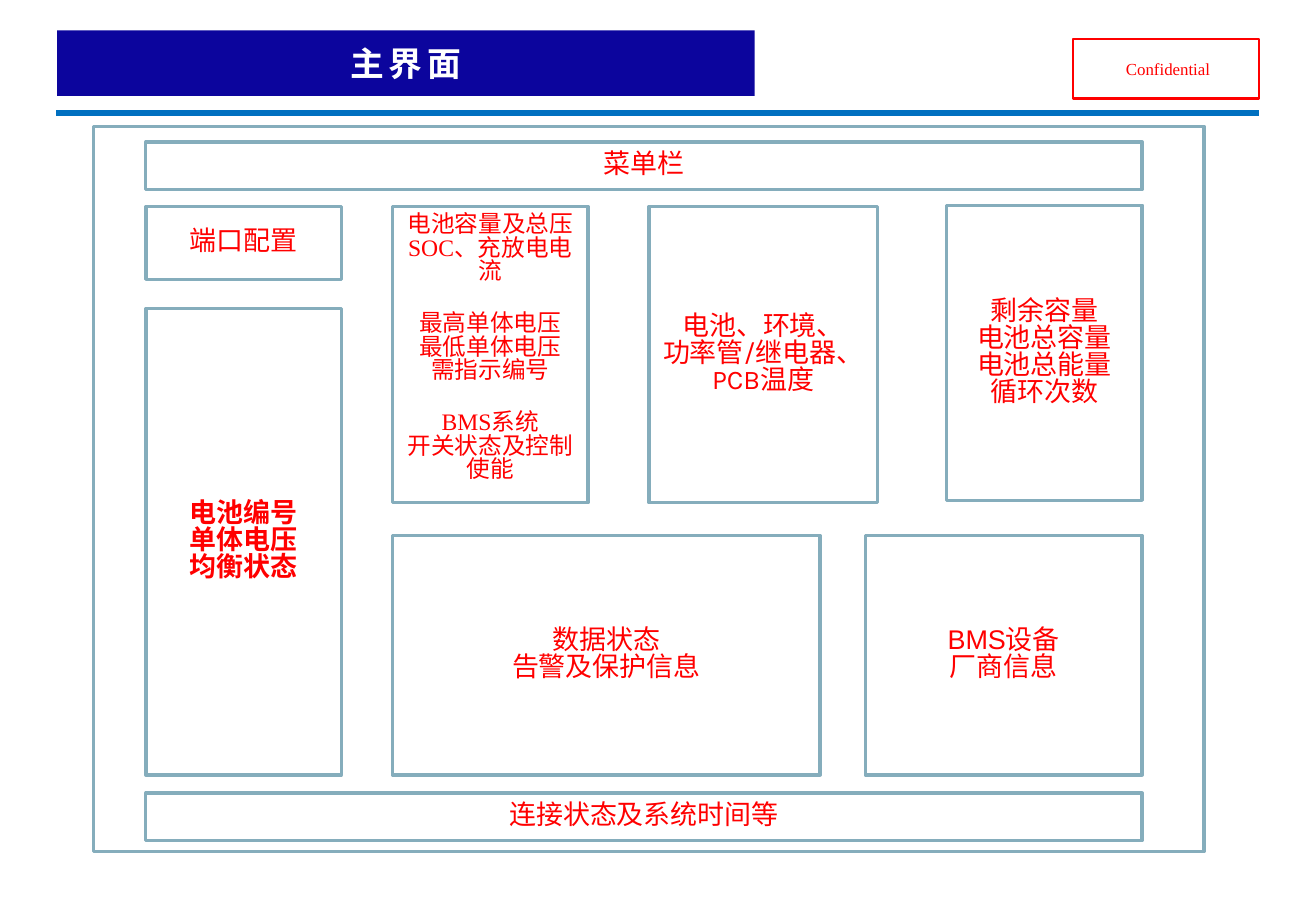
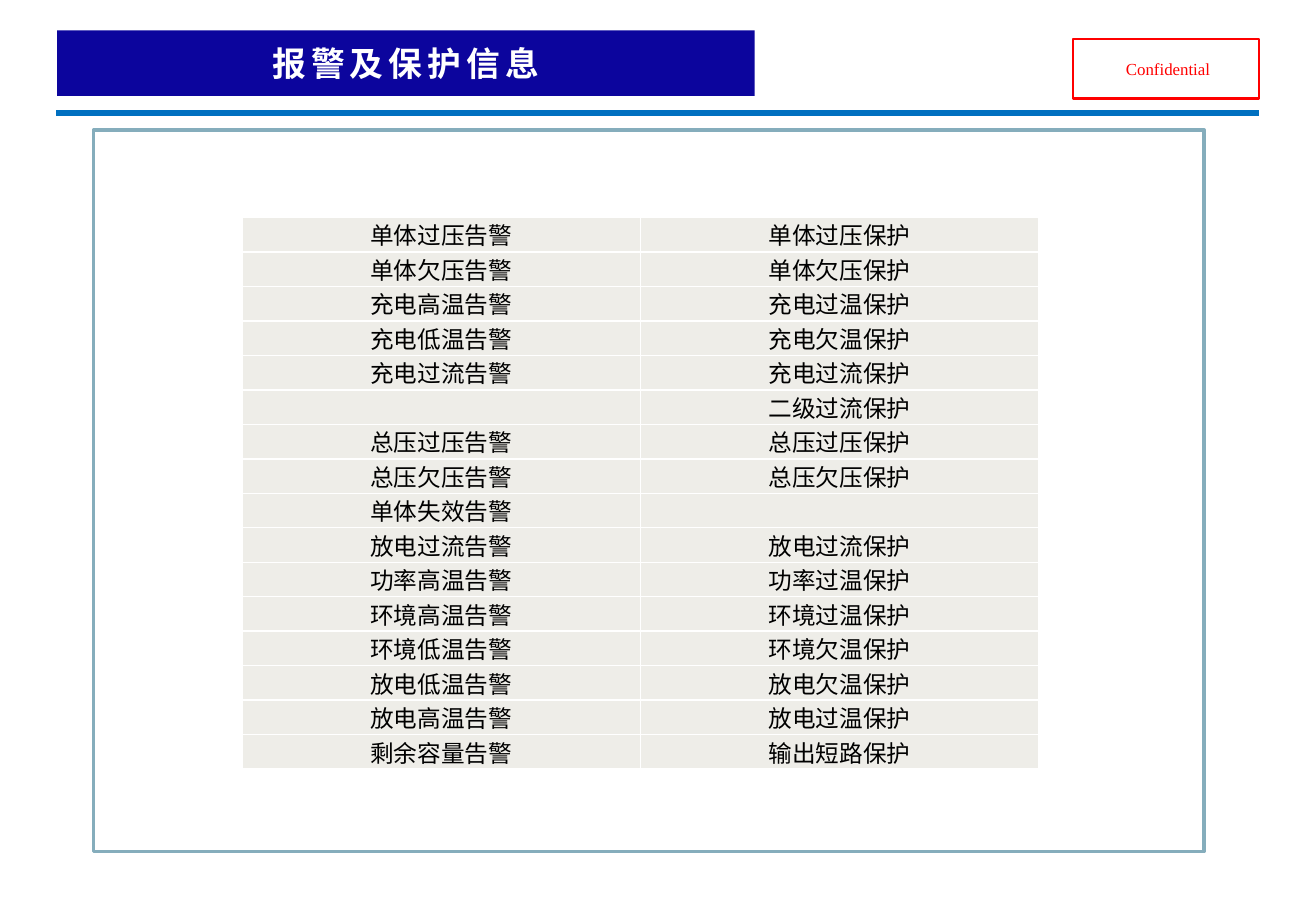
from pptx import Presentation
from pptx.dml.color import RGBColor
from pptx.enum.shapes import MSO_CONNECTOR, MSO_SHAPE
from pptx.enum.text import MSO_ANCHOR, MSO_AUTO_SIZE, PP_ALIGN
from pptx.oxml.ns import qn
from pptx.util import Inches, Pt
from lxml.etree import SubElement

# Content
TITLES = ["主界面", "报警及保护信息"]
MARK = " Confidential"
ARIAL, KARLA, TIMES, NOTO = "Arial", "Karla", "Times New Roman", "Noto Sans CJK SC"
COLORS = {"band": "0C059D", "rule": "0070C0", "edge": "85ADBC",
          "red": "FF0000", "white": "FFFFFF", "black": "000000", "cell": "EEEDE8"}

# Panels: left, top, width, height, text, font, bold
LEFT, MID, WIDE, SIDE = 1.2, 3.23, 8.2, 1.61
TOP, LOW = 1.7, 4.41
PANELS = [
    (LEFT, 1.17, WIDE, 0.39, "菜单栏", ARIAL, False),
    (LEFT, TOP, SIDE, 0.6, "端口配置", ARIAL, False),
    (LEFT, 2.54, SIDE, 3.84, "电池编号\n单体电压\n均衡状态", NOTO, True),
    (MID, TOP, SIDE, 2.44, "", TIMES, False),
    (5.34, TOP, 1.88, 2.44, "电池、环境、\n功率管/继电器、\nPCB温度", KARLA, False),
    (7.79, 1.69, SIDE, 2.43, "剩余容量\n电池总容量\n电池总能量\n循环次数", KARLA, False),
    (MID, LOW, 3.52, 1.97, "数据状态\n告警及保护信息", ARIAL, False),
    (7.12, LOW, 2.28, 1.97, "BMS设备\n厂商信息", ARIAL, False),
    (LEFT, 6.53, WIDE, 0.39, "连接状态及系统时间等", ARIAL, False),
]
NOTES = ["电池容量及总压\nSOC、充放电电流",
         "最高单体电压\n最低单体电压\n需指示编号",
         "BMS系统\n开关状态及控制使能"]
ALARMS = [
    ("单体过压告警", "单体过压保护"), ("单体欠压告警", "单体欠压保护"),
    ("充电高温告警", "充电过温保护"), ("充电低温告警", "充电欠温保护"),
    ("充电过流告警", "充电过流保护"), ("", "二级过流保护"),
    ("总压过压告警", "总压过压保护"), ("总压欠压告警", "总压欠压保护"),
    ("单体失效告警", ""), ("放电过流告警", "放电过流保护"),
    ("功率高温告警", "功率过温保护"), ("环境高温告警", "环境过温保护"),
    ("环境低温告警", "环境欠温保护"), ("放电低温告警", "放电欠温保护"),
    ("放电高温告警", "放电过温保护"), ("剩余容量告警", "输出短路保护"),
]
KARLA_CELLS = {"二级过流保护", "输出短路保护"}


def color(key):
    return RGBColor.from_string(COLORS[key])


def inches(*nums):
    return [Inches(n) for n in nums]


def write(frame, text, font, size, key, bold=False, space=None):
    frame.text = text
    for para in frame.paragraphs:
        para.alignment = PP_ALIGN.CENTER
        if space:
            para.line_spacing = space
        for run in para.runs:
            run.font.name, run.font.size, run.font.bold = font, Pt(size), bold
            run.font.color.rgb = color(key)
            SubElement(run.font._element, qn("a:ea"), typeface=NOTO)


def add_box(slide, area, edge, width, fill=None):
    box = slide.shapes.add_shape(MSO_SHAPE.RECTANGLE, *inches(*area))
    box.shadow.inherit = False
    box.line.color.rgb, box.line.width = color(edge), Pt(width)
    if fill:
        box.fill.solid()
        box.fill.fore_color.rgb = color(fill)
    else:
        box.fill.background()
    box.text_frame.word_wrap = False
    box.text_frame.vertical_anchor = MSO_ANCHOR.MIDDLE
    return box


# Shared title band, mark, rule and frame
def add_page(deck, text, top):
    slide = deck.slides.add_slide(deck.slide_layouts[5])
    title = slide.shapes.title
    title.left, title.top, title.width, title.height = inches(0.47, 0.25, 5.74, 0.54)
    title.fill.solid()
    title.fill.fore_color.rgb = color("band")
    frame = title.text_frame
    frame.auto_size, frame.word_wrap = MSO_AUTO_SIZE.NONE, True
    frame.vertical_anchor = MSO_ANCHOR.MIDDLE
    write(frame, text, NOTO, 20, "white", True)
    frame.paragraphs[0].runs[0].font._element.set("spc", "300")

    mark = add_box(slide, (8.83, 0.32, 1.53, 0.49), "red", 1.5)
    write(mark.text_frame, MARK, TIMES, 10, "red")
    rule = slide.shapes.add_connector(MSO_CONNECTOR.STRAIGHT, *inches(10.36, 0.93, 0.46, 0.93))
    rule.line.color.rgb, rule.line.width = color("rule"), Pt(3.25)
    SubElement(rule._element.spPr, qn("a:effectLst"))
    add_box(slide, (0.77, top, 9.14, 7.01 - top), "edge", 2, "white")
    return slide


def add_edges(cell):
    props = cell._tc.get_or_add_tcPr()
    for spot, side in enumerate(("lnL", "lnR", "lnT", "lnB")):
        line = props.makeelement(qn("a:" + side), {"w": str(Pt(1))})
        SubElement(SubElement(line, qn("a:solidFill")), qn("a:srgbClr"), val=COLORS["white"])
        props.insert(spot, line)


deck = Presentation()
deck.slide_width, deck.slide_height = inches(10.83, 7.5)

# Main screen
main = add_page(deck, TITLES[0], 1.04)
for *area, text, font, bold in PANELS:
    panel = add_box(main, area, "edge", 2, "white")
    if text:
        write(panel.text_frame, text, font, 16, "red", bold, 0.83)
STEP = 0.815
for row, text in enumerate(NOTES):
    note = main.shapes.add_textbox(*inches(MID, 1.71 + row * STEP, SIDE, 0.81))
    note.text_frame.word_wrap = True
    write(note.text_frame, text, TIMES, 14, "red", space=0.83)

# Alarm and protection table
alarm = add_page(deck, TITLES[1], 1.07)
HIGH = 0.28
table = alarm.shapes.add_table(len(ALARMS), 2, *inches(1.99, 1.79, 6.56, HIGH * len(ALARMS))).table
table.first_row = table.horz_banding = False
for row, pair in zip(table.rows, ALARMS):
    row.height = Inches(HIGH)
    for cell, text in zip(row.cells, pair):
        cell.margin_left = cell.margin_right = cell.margin_top = cell.margin_bottom = 0
        cell.fill.solid()
        cell.fill.fore_color.rgb = color("cell")
        add_edges(cell)
        if text:
            write(cell.text_frame, text, KARLA if text in KARLA_CELLS else TIMES, 14, "black")
        else:
            SubElement(cell.text_frame.paragraphs[0]._p, qn("a:endParaRPr"), sz="1400")

deck.save("out.pptx")
